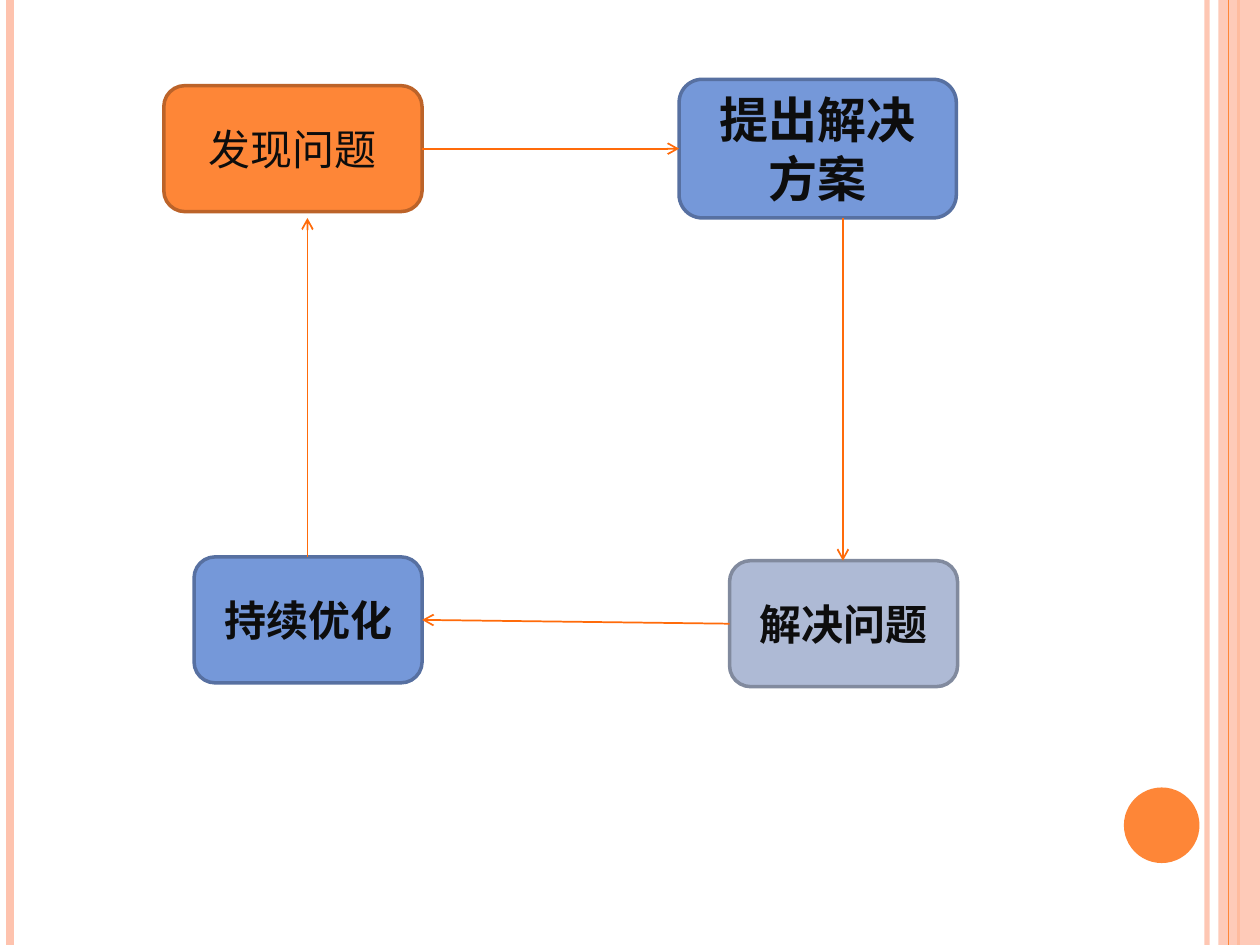
"""Build a four-step problem-solving cycle with striped slide edges."""
from lxml import etree
from pptx import Presentation
from pptx.dml.color import RGBColor
from pptx.enum.shapes import MSO_CONNECTOR, MSO_SHAPE
from pptx.enum.text import MSO_ANCHOR, PP_ALIGN
from pptx.oxml.ns import qn
from pptx.util import Inches, Pt

LINE = MSO_CONNECTOR.STRAIGHT
RECT = MSO_SHAPE.RECTANGLE
ROUND = MSO_SHAPE.ROUNDED_RECTANGLE
OVAL = MSO_SHAPE.OVAL
MIDDLE = MSO_ANCHOR.MIDDLE
CENTER = PP_ALIGN.CENTER
FONT = "TeX Gyre Schola"
ORANGE, PINK, BLUE = "FE8637", "FEC3AE", "7598D9"


def paint(target, color, alpha=100):
    target.solid()
    target.fore_color.rgb = RGBColor.from_string(color)
    if alpha < 100:
        tint = target._xPr.find(".//" + qn("a:srgbClr"))
        etree.SubElement(tint, qn("a:alpha"), val=str(alpha * 1000))


def draw(start, end, color, width, alpha=100):
    line = shapes.add_connector(LINE, *map(Inches, start + end))
    line.line.width = Pt(width)
    paint(line.line.fill, color, alpha)
    etree.SubElement(line._element.spPr, qn("a:effectLst"))
    return line


prs = Presentation()
prs.slide_width, prs.slide_height = Inches(10), Inches(7.5)
slide = prs.slides.add_slide(prs.slide_layouts[6])
shapes = slide.shapes

for x, color, width, alpha in [(9.58, PINK, 3, 93), (0.08, PINK, 4.5, 100),
                               (9.83, ORANGE, 1.5, 100)]:
    draw((x, 0), (x, 7.5), color, width, alpha)

band = shapes.add_shape(RECT, Inches(9.67), 0, Inches(0.33), Inches(7.5))
paint(band.fill, PINK, 87)
draw((9.75, 0), (9.75, 7.5), ORANGE, 0.75)
dot = shapes.add_shape(OVAL, Inches(8.92), Inches(6.25), Inches(0.6), Inches(0.6))
paint(dot.fill, ORANGE)
for part in (band, dot):
    part.shadow.inherit = False
    part.line.fill.background()

steps = [
    ("发现问题", (1.3, 0.68, 2.05, 1), ORANGE, "BC6329", 24, False),
    ("提出解决方案", (5.39, 0.63, 2.2, 1.1), BLUE, "5770A1", 28, True),
    ("解决问题", (5.79, 4.45, 1.81, 1), "AEBAD5", "818A9E", 24, True),
    ("持续优化", (1.54, 4.42, 1.81, 1), BLUE, "5770A1", 24, True),
]
for text, place, color, edge, size, bold in steps:
    box = shapes.add_shape(ROUND, *map(Inches, place))
    box.shadow.inherit = False
    paint(box.fill, color)
    paint(box.line.fill, edge)
    box.line.width = Pt(2)
    frame = box.text_frame
    frame.word_wrap = True
    frame.vertical_anchor = MIDDLE
    para = frame.paragraphs[0]
    para.alignment = CENTER
    run = para.add_run()
    run.text = text
    font = run.font
    font.name, font.size, font.bold = FONT, Pt(size), bold
    paint(font.fill, "0D0D0D")
    etree.SubElement(run._r.rPr, qn("a:ea"), typeface=FONT)

arrows = [((3.35, 1.18), (5.39, 1.18)), ((6.69, 1.73), (6.69, 4.45)),
          ((5.79, 4.95), (3.35, 4.92)), ((2.44, 4.42), (2.44, 1.73))]
for start, end in arrows:
    arrow = draw(start, end, "FF6B0A", 1)
    etree.SubElement(arrow.line._ln, qn("a:tailEnd"), type="arrow")

prs.save("out.pptx")
